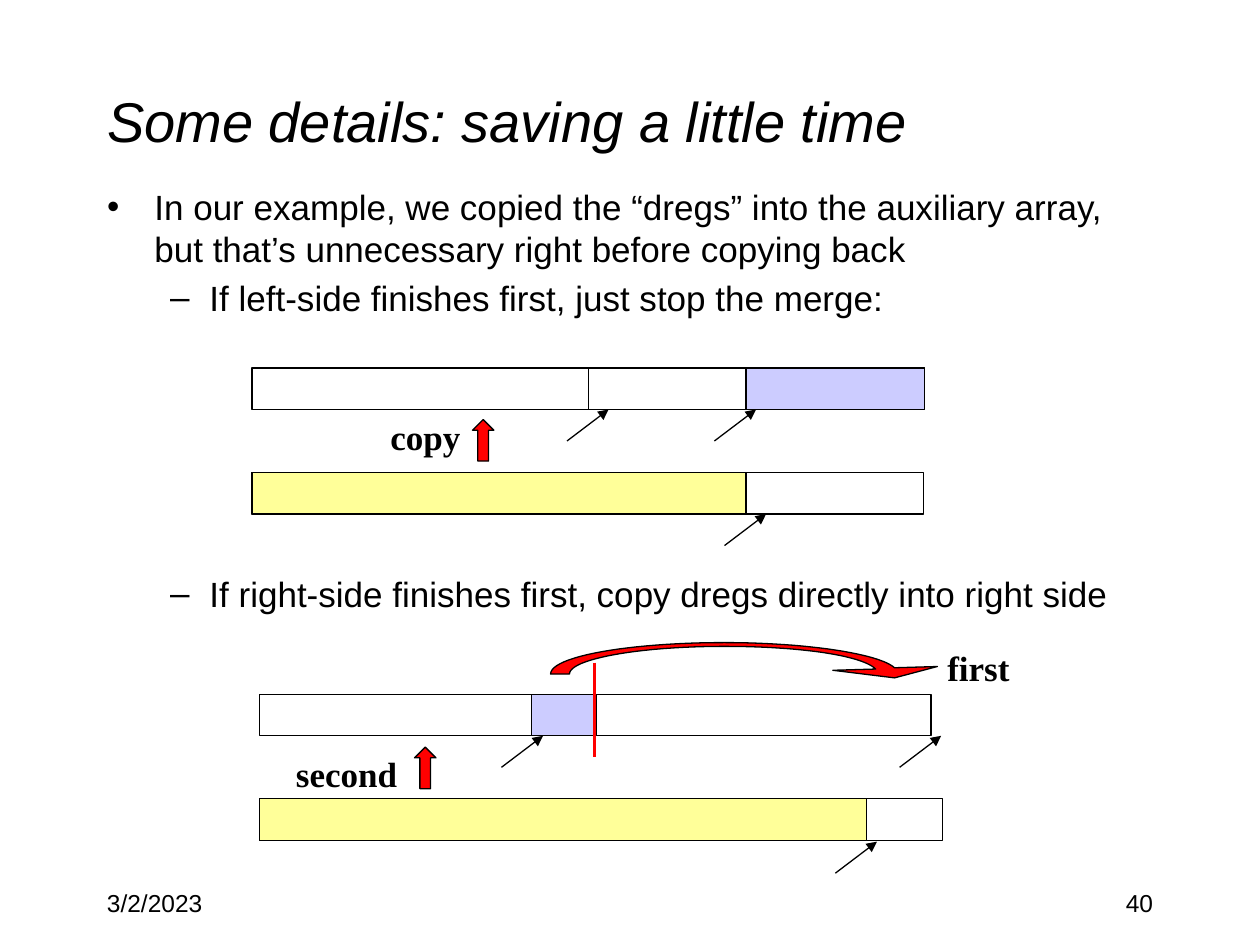
from dataclasses import dataclass

from lxml.etree import SubElement
from pptx import Presentation
from pptx.dml.color import RGBColor as RGB
from pptx.enum.shapes import MSO_CONNECTOR as Link, MSO_SHAPE as Kind
from pptx.enum.text import MSO_ANCHOR as Anchor, MSO_AUTO_SIZE as Fit, PP_ALIGN as Align
from pptx.oxml.ns import qn
from pptx.util import Inches, Pt


@dataclass(frozen=True)
class Theme:
    sans: str = "Arial"
    serif: str = "Times New Roman"
    black: RGB = RGB(0, 0, 0)
    red: RGB = RGB(255, 0, 0)
    blue: RGB = RGB(204, 204, 255)
    yellow: RGB = RGB(255, 255, 153)
    title: int = 32
    body: int = 20
    foot: int = 14
    thin: float = 0.75
    thick: float = 1.5


def curve(a, b, c, d, steps=24):
    """Points on a cubic curve after its start a."""
    for i in range(1, steps + 1):
        t = i / steps
        u = 1 - t
        yield tuple(u**3 * p + 3 * u * u * t * q + 3 * u * t * t * r + t**3 * s
                    for p, q, r, s in zip(a, b, c, d))


class Deck:
    def __init__(self, theme):
        self.theme = theme
        self.prs = Presentation()
        self.prs.slide_width, self.prs.slide_height = Inches(10), Inches(7.5)
        self.slide = self.prs.slides.add_slide(self.prs.slide_layouts[1])
        self.shapes = self.slide.shapes

    def place(self, shape, left, top, width, height):
        shape.left, shape.top = Inches(left), Inches(top)
        shape.width, shape.height = Inches(width), Inches(height)

    def font(self, par, size, name=None, bold=None, italic=None):
        for run in par.runs:
            font = run.font
            font.name, font.size = name or self.theme.sans, Pt(size)
            font.bold, font.italic = bold, italic
            font.color.rgb = self.theme.black

    def title(self, text, *box):
        shape = self.shapes.title
        self.place(shape, *box)
        frame = shape.text_frame
        frame.text = text
        frame.vertical_anchor = Anchor.MIDDLE
        par = frame.paragraphs[0]
        par.alignment = Align.LEFT
        self.font(par, self.theme.title, italic=True)

    def body(self, items, *box):
        """Each item is a text, a level and an optional space before it."""
        shape = self.slide.placeholders[1]
        self.place(shape, *box)
        frame = shape.text_frame
        frame.auto_size = Fit.NONE
        for i, (text, level, gap) in enumerate(items):
            par = frame.add_paragraph() if i else frame.paragraphs[0]
            par.text, par.level = text, level
            if gap:
                par.space_before = Pt(gap)
            self.font(par, self.theme.body)

    def text(self, text, left, top, width, height, align=Align.LEFT):
        box = self.shapes.add_textbox(*map(Inches, (left, top, width, height)))
        box.text_frame.text = text
        par = box.text_frame.paragraphs[0]
        par.alignment = align
        self.font(par, self.theme.foot)

    def label(self, text, left, top, width):
        box = self.shapes.add_textbox(*map(Inches, (left, top, width, 0.44)))
        frame = box.text_frame
        frame.text, frame.word_wrap = text, False
        frame.auto_size = Fit.SHAPE_TO_FIT_TEXT
        self.font(frame.paragraphs[0], self.theme.body, self.theme.serif, bold=True)

    def paint(self, shape, fill):
        shape.shadow.inherit = False
        if fill is None:
            shape.fill.background()
        else:
            shape.fill.solid()
            shape.fill.fore_color.rgb = fill
        shape.line.color.rgb = self.theme.black
        shape.line.width = Pt(self.theme.thin)

    def bar(self, left, top, width, fill=None):
        box = map(Inches, (left, top, width, 0.33))
        self.paint(self.shapes.add_shape(Kind.RECTANGLE, *box), fill)

    def rise(self, left, top):
        box = map(Inches, (left, top, 0.17, 0.33))
        self.paint(self.shapes.add_shape(Kind.UP_ARROW, *box), self.theme.red)

    def line(self, start, end, color, width):
        link = self.shapes.add_connector(Link.STRAIGHT, *map(Inches, start + end))
        link.line.color.rgb, link.line.width = color, Pt(width)
        SubElement(link.element.spPr, qn("a:effectLst"))
        return link

    def mark(self, x, y):
        """Slanted index arrow with its tip at x, y."""
        link = self.line((x - 0.33, y + 0.25), (x, y), self.theme.black, self.theme.thin)
        SubElement(link.line._get_or_add_ln(), qn("a:tailEnd"), type="triangle")

    def swoop(self):
        inner = [(6.95, 5.31),
                 *curve((6.95, 5.31), (6.84, 5.2), (6.34, 5.13), (5.75, 5.13)),
                 *curve((5.75, 5.13), (5.07, 5.13), (4.52, 5.23), (4.52, 5.35))]
        outer = [(4.37, 5.35),
                 *curve((4.37, 5.35), (4.37, 5.21), (4.99, 5.1), (5.75, 5.1)),
                 *curve((5.75, 5.1), (6.41, 5.1), (6.98, 5.19), (7.1, 5.3))]
        head = [(7.44, 5.29), (7.1, 5.38), (6.61, 5.32)]
        pts = [(Inches(x), Inches(y)) for x, y in inner + outer + head]
        path = self.shapes.build_freeform(*pts[0])
        path.add_line_segments(pts[1:], close=True)
        self.paint(path.convert_to_shape(), self.theme.red)


def main():
    theme = Theme()
    deck = Deck(theme)

    # Title, list and footer
    deck.title("Some details: saving a little time", 0.75, 0.33, 8.5, 1.25)
    deck.body([
        ("In our example, we copied the “dregs” into the auxiliary array, "
         "but that’s unnecessary right before copying back", 0, None),
        ("If left-side finishes first, just stop the merge:", 1, None),
        ("If right-side finishes first, copy dregs directly into right side", 1, 145),
    ], 0.75, 1.42, 8.5, 3.67)
    deck.text("3/2/2023", 0.75, 7, 2.08, 0.5)
    deck.text("40", 7.17, 7, 2.08, 0.5, Align.RIGHT)

    # Left side finishes first: main array above, auxiliary array below
    for bar in [(2, 2.92, 2.67), (4.67, 2.92, 2.67), (2, 3.75, 5.33),
                (5.92, 2.92, 1.42, theme.blue), (2, 3.75, 3.92, theme.yellow)]:
        deck.bar(*bar)
    for tip in [(4.83, 3.25), (6.08, 4.08), (6, 3.25)]:
        deck.mark(*tip)
    deck.rise(3.75, 3.33)
    deck.label("copy", 3, 3.25, 0.76)

    # Right side finishes first: main array above, auxiliary array below
    for bar in [(2.06, 5.51, 2.67), (4.72, 5.51, 2.67), (2.06, 6.34, 5.42),
                (4.22, 5.51, 0.5, theme.blue), (2.06, 6.34, 4.82, theme.yellow)]:
        deck.bar(*bar)
    deck.line((4.72, 5.26), (4.72, 6.01), theme.red, theme.thick)
    for tip in [(4.31, 5.84), (6.96, 6.68), (7.47, 5.84)]:
        deck.mark(*tip)
    deck.rise(3.29, 5.93)
    deck.swoop()
    deck.label("first", 7.42, 5.08, 0.7)
    deck.label("second", 2.25, 5.92, 1.01)

    deck.prs.save("out.pptx")


if __name__ == "__main__":
    main()
